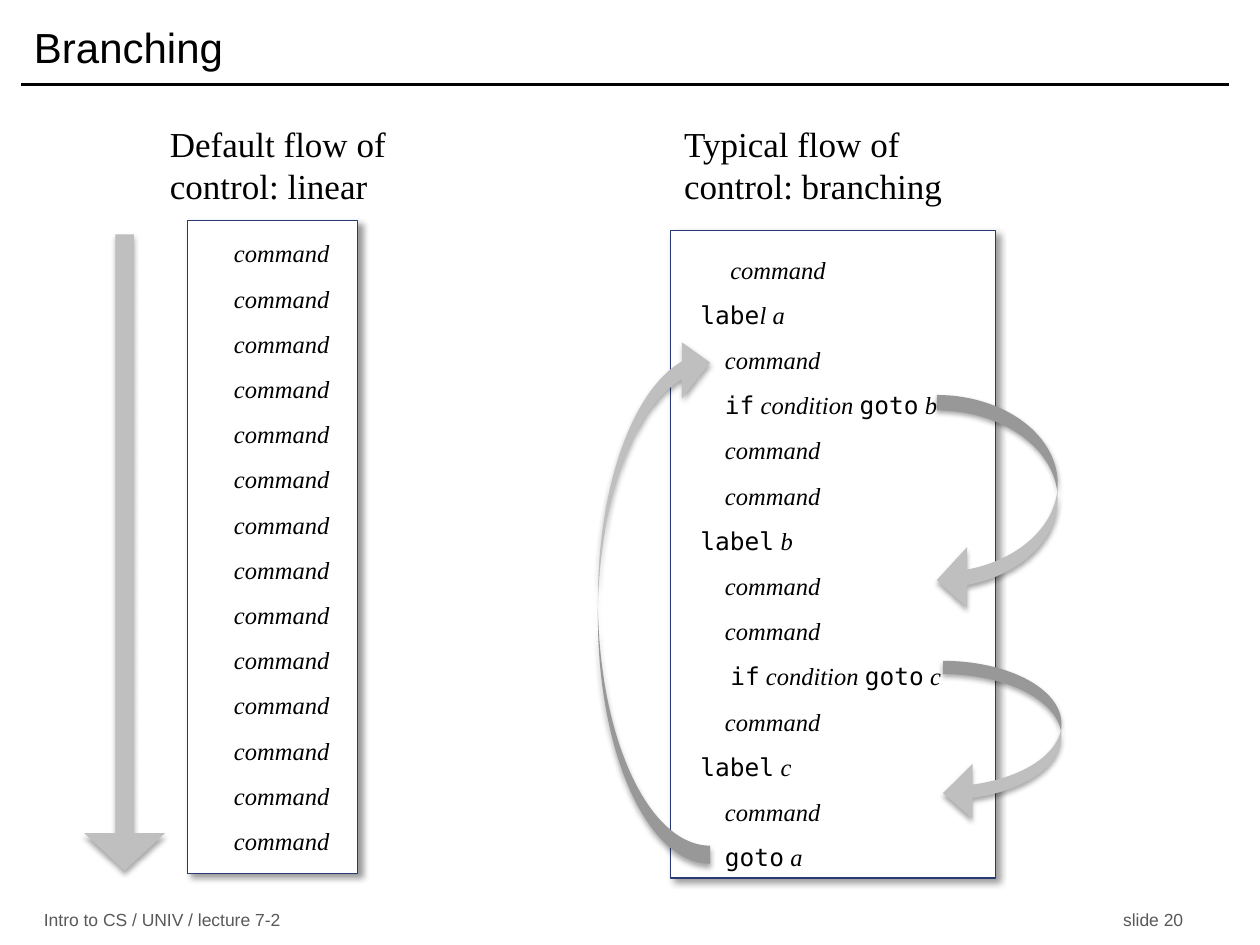
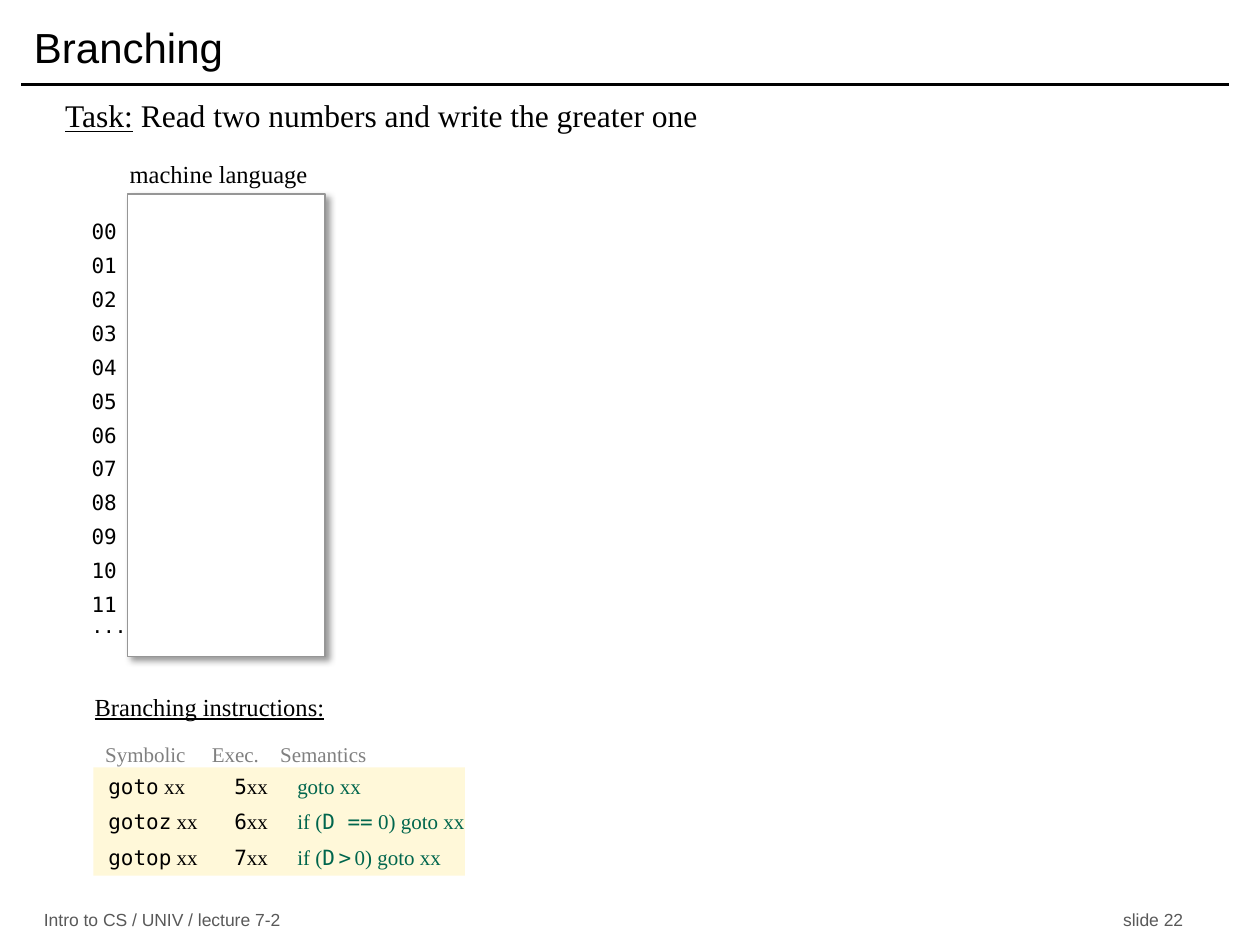
from typing import NamedTuple

import pptx
import pptx.dml.color
import pptx.enum.shapes
import pptx.enum.text
import pptx.oxml.ns
import pptx.util
from lxml import etree

Pt = pptx.util.Pt
SHAPE = pptx.enum.shapes.MSO_SHAPE
ANCHOR = pptx.enum.text.MSO_ANCHOR
ALIGN = pptx.enum.text.PP_ALIGN
qn = pptx.oxml.ns.qn

SANS, SERIF, MONO = "Arial", "Times New Roman", "DejaVu Sans Mono"
BLACK, WHITE, NAVY, ARROW_GREY = "000000", "FFFFFF", "293973", "BFBFBF"
FRAME_GREY, FOOTER_GREY, HEADER_GREY = "969696", "595959", "808080"
CREAM, GREEN = "FFF8D9", "00664D"


class Box(NamedTuple):
    left: float
    top: float
    width: float
    height: float


class Shadow(NamedTuple):
    alpha: int
    blur: float
    dist: float
    angle: int


class Arrow(NamedTuple):
    kind: int
    box: Box
    adjustments: tuple
    rotation: int = 0


class Line(NamedTuple):
    text: str
    indent: float = 0


class Instruction(NamedTuple):
    symbolic: str
    code: str
    semantics: tuple


CARD_SHADOW = Shadow(40, 4, 3, 45)
ARROW_SHADOW = Shadow(35, 3.1, 1.8, 90)
COMMAND = Line("command", 14)

LINEAR_ARROW = Arrow(SHAPE.DOWN_ARROW, Box(48.2, 133.9, 46.1, 363.6), (0.231, 0.464))
JUMP_ARROWS = [
    Arrow(SHAPE.CURVED_DOWN_ARROW, Box(508.3, 252.7, 123.1, 69.1), (0.128, 0.5, 0.25), 90),
    Arrow(SHAPE.CURVED_DOWN_ARROW, Box(527, 389.5, 91.4, 67.7), (0.112, 0.465, 0.25), 90),
    Arrow(SHAPE.CURVED_DOWN_ARROW, Box(222.5, 310.3, 302.4, 64.1), (0.161, 0.5, 0.25), 270),
]

# Backticks mark code
BRANCHING_PROGRAM = [
    Line("command", 17), Line("`labe`l a"), COMMAND,
    Line("`if` condition `goto` b", 14), COMMAND, COMMAND,
    Line("`label` b"), COMMAND, COMMAND,
    Line("`if` condition `goto` c", 17), COMMAND,
    Line("`label` c"), COMMAND, Line("`goto` a", 14),
]
INSTRUCTIONS = [
    Instruction("goto", "5", ("goto xx",)),
    Instruction("gotoz", "6", ("if (`D ==` 0) goto xx",)),
    Instruction("gotop", "7", ("if (`D`", " ", "`>`", " ", "0) goto xx")),
]


def rgb(color: str) -> pptx.dml.color.RGBColor:
    return pptx.dml.color.RGBColor.from_string(color)


def lengths(values) -> list:
    return [Pt(v) for v in values]


# Text
def write(p, text: str, *, size: float = 14, font: str = SERIF, color: str = BLACK,
          italic: bool = False, underline: bool = False) -> None:
    """Append text to a paragraph; parts between backticks are set as code."""
    for i, part in enumerate(text.split("`")):
        if not part:
            continue
        is_code = i % 2 == 1
        r = p.add_run()
        r.text = part
        r.font.size = Pt(size)
        r.font.name = MONO if is_code else font
        r.font.color.rgb = rgb(color)
        r.font.italic = italic and not is_code
        r.font.underline = underline


def set_frame(tf, insets=(7.2, 3.6, 7.2, 3.6), anchor=ANCHOR.TOP) -> None:
    tf.word_wrap = True
    tf.auto_size = pptx.enum.text.MSO_AUTO_SIZE.NONE
    tf.vertical_anchor = anchor
    tf.margin_left, tf.margin_top, tf.margin_right, tf.margin_bottom = lengths(insets)


def next_paragraph(tf, index: int, before: float = 0, indent: float = 0, align=ALIGN.LEFT):
    p = tf.add_paragraph() if index else tf.paragraphs[0]
    p.alignment = align
    p.space_before = Pt(before)
    p._p.get_or_add_pPr().set("marL", str(Pt(indent)))
    p._p.get_or_add_pPr().set("indent", "0")
    return p


def set_tabs(p, *stops: tuple) -> None:
    tabs = etree.SubElement(p._p.get_or_add_pPr(), qn("a:tabLst"))
    for position, align in stops:
        etree.SubElement(tabs, qn("a:tab"), pos=str(Pt(position)), algn=align)


def add_text(s, box: Box, text: str = "", anchor=ANCHOR.TOP, **fmt):
    tf = s.shapes.add_textbox(*lengths(box)).text_frame
    set_frame(tf, anchor=anchor)
    write(tf.paragraphs[0], text, **fmt)
    return tf


# Shapes
def add_shape(s, kind, box: Box, fill: str, line: str = "", shadow: Shadow | None = None):
    sp = s.shapes.add_shape(kind, *lengths(box))
    sp.fill.solid()
    sp.fill.fore_color.rgb = rgb(fill)
    if line:
        sp.line.color.rgb = rgb(line)
        sp.line.width = Pt(0.75)
    else:
        sp.line.fill.background()
    sp.shadow.inherit = False
    if shadow:
        outer = etree.SubElement(
            sp._element.spPr.find(qn("a:effectLst")), qn("a:outerShdw"),
            blurRad=str(Pt(shadow.blur)), dist=str(Pt(shadow.dist)),
            dir=str(shadow.angle * 60000), algn="ctr", rotWithShape="0")
        color = etree.SubElement(outer, qn("a:srgbClr"), val=BLACK)
        etree.SubElement(color, qn("a:alpha"), val=str(shadow.alpha * 1000))
    return sp


def add_arrow(s, arrow: Arrow) -> None:
    sp = add_shape(s, arrow.kind, arrow.box, ARROW_GREY, shadow=ARROW_SHADOW)
    for i, value in enumerate(arrow.adjustments):
        sp.adjustments[i] = value
    sp.rotation = arrow.rotation


def add_program(s, box: Box, lines: list, insets: tuple, align=ALIGN.LEFT) -> None:
    tf = add_shape(s, SHAPE.RECTANGLE, box, WHITE, NAVY, CARD_SHADOW).text_frame
    set_frame(tf, insets, ANCHOR.MIDDLE)
    for i, line in enumerate(lines):
        p = next_paragraph(tf, i, before=9, indent=line.indent, align=align)
        write(p, line.text, italic=True)


# Parts shared by the slides
def new_slide(prs, title: str, number: int, title_width: float):
    s = prs.slides.add_slide(prs.slide_layouts[5])
    sp = s.shapes.title
    sp.left, sp.top, sp.width, sp.height = lengths(Box(12.2, 5.8, title_width, 41.8))
    set_frame(sp.text_frame, anchor=ANCHOR.MIDDLE)
    p = next_paragraph(sp.text_frame, 0)
    write(p, title, size=24, font=SANS)

    rule = s.shapes.add_connector(pptx.enum.shapes.MSO_CONNECTOR.STRAIGHT,
                                  *lengths((12.2, 48.2, 702, 48.2)))
    rule.line.color.rgb = rgb(BLACK)
    rule.line.width = Pt(2)
    etree.SubElement(rule._element.spPr, qn("a:effectLst"))

    tf = add_text(s, Box(18, 517.7, 678.2, 15.8),
                  f"Intro to CS / UNIV / lecture 7-2\tslide {number}",
                  anchor=ANCHOR.MIDDLE, size=10, font=SANS, color=FOOTER_GREY)
    set_tabs(tf.paragraphs[0], (651, "r"))
    return s


def build_flow_slide(prs) -> None:
    s = new_slide(prs, "Branching", 20, 690)
    # Linear flow
    add_program(s, Box(107.3, 126, 97.2, 373), [Line("command")] * 14,
                (17.3, 10, 7.2, 10), ALIGN.CENTER)
    add_arrow(s, LINEAR_ARROW)
    add_text(s, Box(90, 66.2, 156.2, 55.4), "Default flow of control: linear", size=20)
    # Branching flow
    add_program(s, Box(383, 131.8, 185.8, 370), BRANCHING_PROGRAM, (17.3, 10, 7.2, 0))
    for arrow in JUMP_ARROWS:
        add_arrow(s, arrow)
    add_text(s, Box(383.8, 66.2, 198, 55.4), "Typical flow of control: branching", size=20)


def build_task_slide(prs) -> None:
    s = new_slide(prs, "Branching", 22, 252)
    tf = add_text(s, Box(30.2, 54, 498, 23.8), "Task:", size=18, underline=True)
    tf.paragraphs[0].line_spacing = 0.9
    write(tf.paragraphs[0], " Read two numbers and write the greater one", size=18)

    # Memory with its addresses
    add_text(s, Box(67, 87.1, 161.3, 30.2), "machine language")
    tf = add_text(s, Box(45.3, 123.1, 36, 300.2))
    for i in range(12):
        p = next_paragraph(tf, i, before=6.4)
        p.line_spacing = 0.9
        write(p, f"{i:02}", size=12, font=MONO)
    p = next_paragraph(tf, 12)
    p.line_spacing = 0.9
    write(p, "...", size=11, font=MONO)
    add_shape(s, SHAPE.RECTANGLE, Box(72.7, 110.9, 113, 264.2), WHITE, FRAME_GREY, CARD_SHADOW)

    # Branching instructions
    tf = add_shape(s, SHAPE.RECTANGLE, Box(53.3, 438.5, 212.4, 61.9), CREAM).text_frame
    set_frame(tf, (8.6, 0, 0, 0), ANCHOR.MIDDLE)
    for i, row in enumerate(INSTRUCTIONS):
        p = next_paragraph(tf, i, before=6)
        set_tabs(p, (62.6, "l"), (102.6, "l"))
        write(p, f"`{row.symbolic}` xx\t`{row.code}`xx\t", size=12)
        for part in row.semantics:
            write(p, part, size=8 if part == " " else 12, color=GREEN)
    tf = add_text(s, Box(53, 420, 213, 21.6), "Symbolic\tExec.\tSemantics",
                  size=12, color=HEADER_GREY)
    set_tabs(tf.paragraphs[0], (61, "l"), (100, "l"))
    add_text(s, Box(47, 391.7, 275, 23.8), "Branching instructions:", underline=True)


def main() -> None:
    prs = pptx.Presentation()
    prs.slide_width, prs.slide_height = Pt(720), Pt(540)
    build_flow_slide(prs)
    build_task_slide(prs)
    prs.save("out.pptx")


if __name__ == "__main__":
    main()
